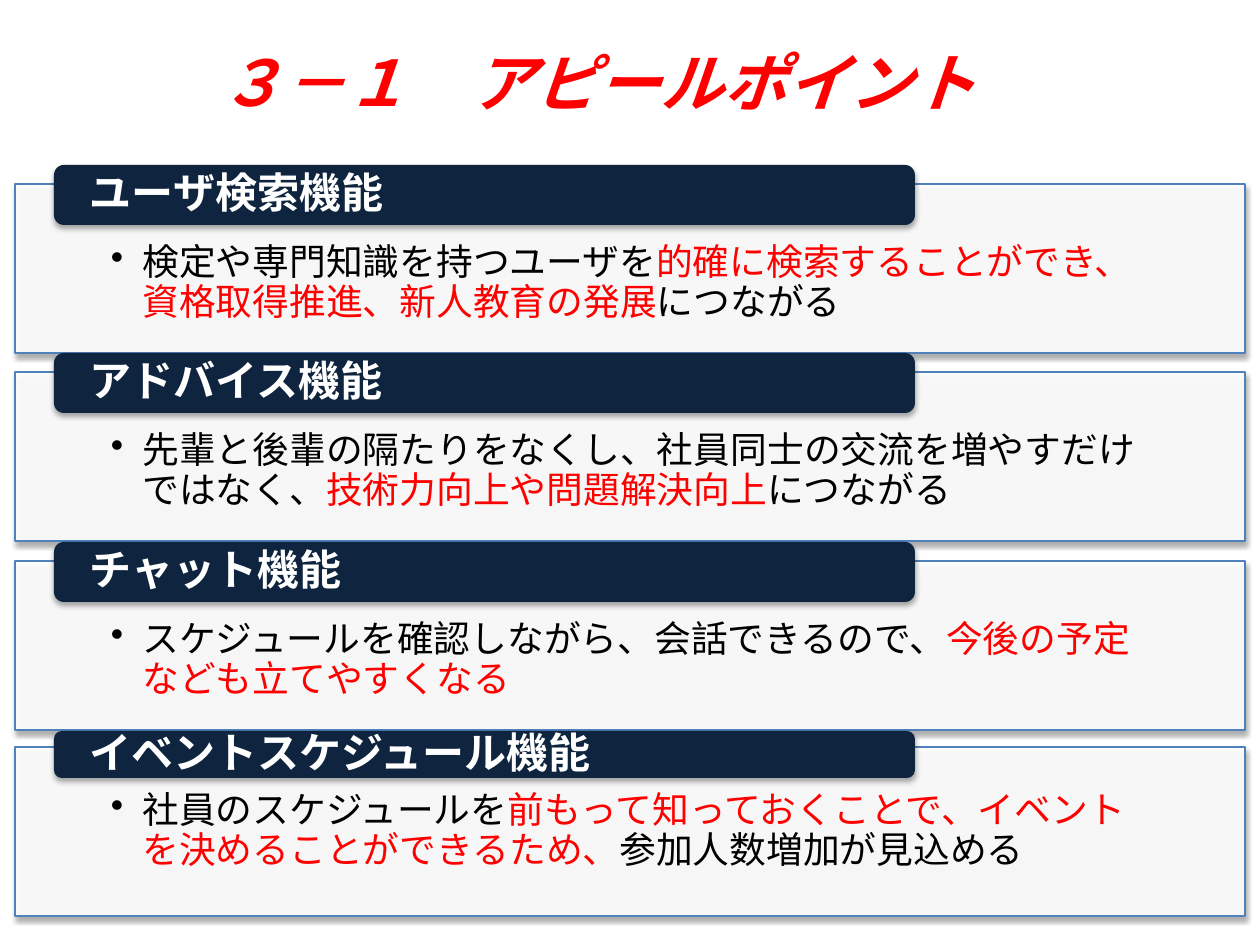
import pptx
import pptx.util
import pptx.dml.color
import pptx.enum.shapes
import pptx.enum.text
import pptx.oxml
import pptx.oxml.ns
import lxml.etree

PX = 914400 // 126
ANCHOR = pptx.enum.text.MSO_ANCHOR
ALIGN = pptx.enum.text.PP_ALIGN
SHAPE = pptx.enum.shapes.MSO_SHAPE

THEME = {
    "font": "Calibri",
    "title_size": 36, "heading_size": 24, "body_size": 21,
    "text": "000000", "accent": "FF0000", "light": "FFFFFF",
    "panel": "FFFFFF", "border": "4F81BD", "heading": "0F243E",
}

TITLE = "３－１　アピールポイント　"
REGULAR = {"heading_height": 60, "panel_drop": 19, "text_top": 60}
COMPACT = {"heading_height": 47, "panel_drop": 16, "text_top": 45}
FEATURES = [
    ("ユーザ検索機能", REGULAR, [
        ("検定や専門知識を持つユーザを", "text"),
        ("的確に検索することができ、資格取得推進、新人教育の発展", "accent"),
        ("につながる", "text")]),
    ("アドバイス機能", REGULAR, [
        ("先輩と後輩の隔たりをなくし、社員同士の交流を増やすだけではなく、", "text"),
        ("技術力向上や問題解決向上", "accent"),
        ("につながる", "text")]),
    ("チャット機能", REGULAR, [
        ("スケジュールを確認しながら、会話できるので、", "text"),
        ("今後の予定なども立てやすくなる", "accent")]),
    ("イベントスケジュール機能", COMPACT, [
        ("社員のスケジュールを", "text"),
        ("前もって知っておくことで、イベントを決めることができるため、", "accent"),
        ("参加人数増加が見込める", "text")]),
]
FIRST_TOP, LAST_TOP = 165, 731
PANEL_LEFT, PANEL_WIDTH, PANEL_HEIGHT = 15, 1230, 169
HEADING_LEFT, HEADING_WIDTH = 54, 861

SHADOW = (
    f'<a:outerShdw {pptx.oxml.ns.nsdecls("a")} blurRad="40000" dist="23000" '
    'dir="5400000" rotWithShape="0"><a:srgbClr val="000000">'
    '<a:alpha val="35000"/></a:srgbClr></a:outerShdw>')


def color(name):
    return pptx.dml.color.RGBColor.from_string(THEME[name])


def apply(target, values):
    for name, value in values.items():
        setattr(target, name, value)


def place(shape, left, top, width, height):
    apply(shape, {"left": left * PX, "top": top * PX,
                  "width": width * PX, "height": height * PX})


def add_text(paragraph, text, size, color_name, **style):
    run = paragraph.add_run()
    run.text = text
    apply(run.font, {"name": THEME["font"],
                     "size": pptx.util.Pt(THEME[size]), **style})
    run.font.color.rgb = color(color_name)


def add_card(slide, kind, box, fill, anchor, margins):
    card = slide.shapes.add_shape(kind, *(value * PX for value in box))
    card.fill.solid()
    card.fill.fore_color.rgb = color(fill)
    card.shadow.inherit = False
    effects = card.element.spPr.find(pptx.oxml.ns.qn("a:effectLst"))
    effects.append(pptx.oxml.parse_xml(SHADOW))
    left, top, right, bottom = (value * PX for value in margins)
    apply(card.text_frame, {
        "word_wrap": True, "vertical_anchor": anchor,
        "margin_left": left, "margin_top": top,
        "margin_right": right, "margin_bottom": bottom})
    return card


def add_panel(slide, top, text_top, description):
    panel = add_card(slide, SHAPE.RECTANGLE,
                     (PANEL_LEFT, top, PANEL_WIDTH, PANEL_HEIGHT),
                     "panel", ANCHOR.TOP, (96, text_top, 96, 20))
    fill_color = panel.element.spPr.find(".//" + pptx.oxml.ns.qn("a:srgbClr"))
    lxml.etree.SubElement(fill_color, pptx.oxml.ns.qn("a:alpha"), val="90000")
    panel.line.color.rgb = color("border")
    panel.line.width = pptx.util.Pt(0.75)
    paragraph = panel.text_frame.paragraphs[0]
    properties = paragraph._p.get_or_add_pPr()
    properties.set("marL", "228600")
    properties.set("indent", "-228600")
    lxml.etree.SubElement(properties, pptx.oxml.ns.qn("a:buChar"), char="•")
    apply(paragraph, {"level": 1, "alignment": ALIGN.LEFT, "line_spacing": 0.9})
    for text, color_name in description:
        add_text(paragraph, text, "body_size", color_name)


def add_heading(slide, top, height, text):
    heading = add_card(slide, SHAPE.ROUNDED_RECTANGLE,
                       (HEADING_LEFT, top, HEADING_WIDTH, height),
                       "heading", ANCHOR.MIDDLE, (33, 0, 33, 0))
    heading.line.fill.background()
    paragraph = heading.text_frame.paragraphs[0]
    apply(paragraph, {"alignment": ALIGN.LEFT, "line_spacing": 0.9})
    add_text(paragraph, text, "heading_size", "light", bold=True)


def main():
    deck = pptx.Presentation()
    apply(deck, {"slide_width": pptx.util.Inches(10),
                 "slide_height": pptx.util.Inches(7.5)})
    slide = deck.slides.add_slide(deck.slide_layouts[5])

    title = slide.shapes.title
    place(title, 34, 26, 1191, 110)
    title.text_frame.vertical_anchor = ANCHOR.MIDDLE
    title_line = title.text_frame.paragraphs[0]
    title_line.alignment = ALIGN.CENTER
    add_text(title_line, TITLE, "title_size", "accent", bold=True, italic=True)

    for index, (name, layout, description) in enumerate(FEATURES):
        top = FIRST_TOP + (LAST_TOP - FIRST_TOP) * index // (len(FEATURES) - 1)
        add_panel(slide, top + layout["panel_drop"], layout["text_top"], description)
        add_heading(slide, top, layout["heading_height"], name)

    deck.save("out.pptx")


if __name__ == "__main__":
    main()
